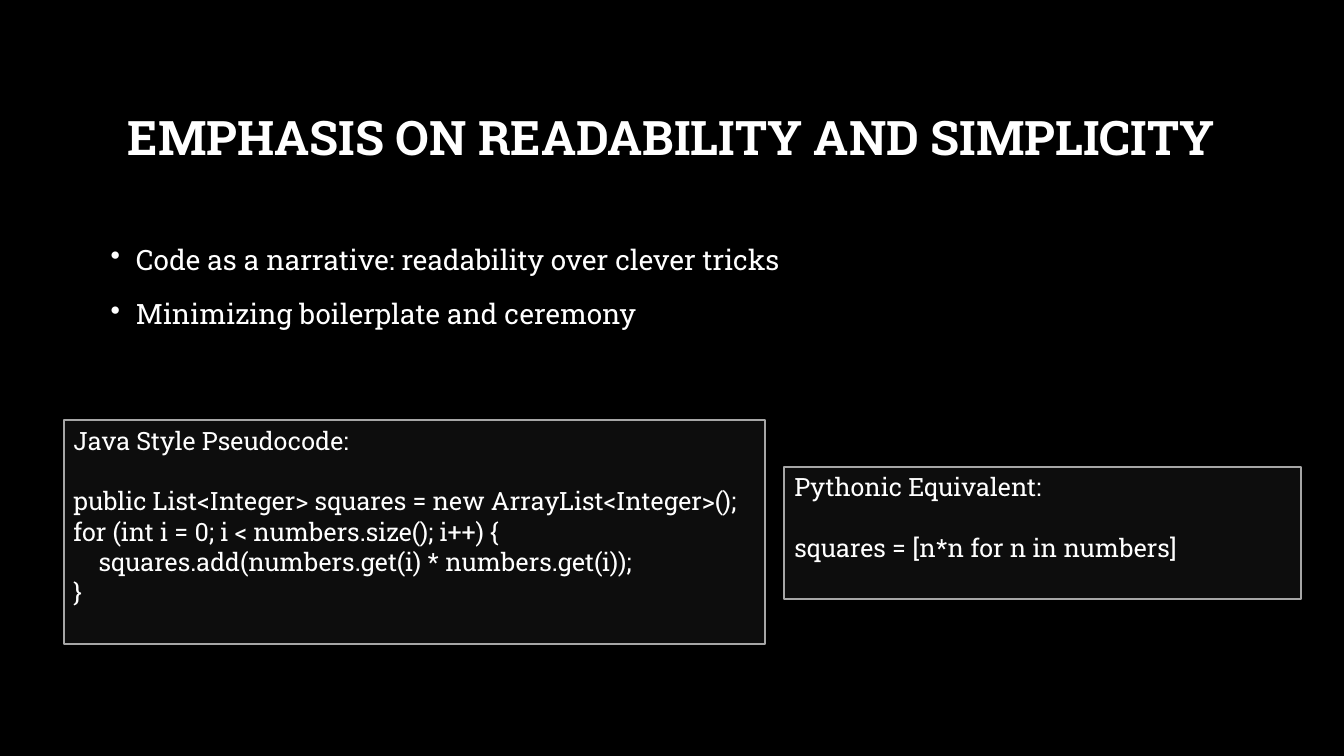
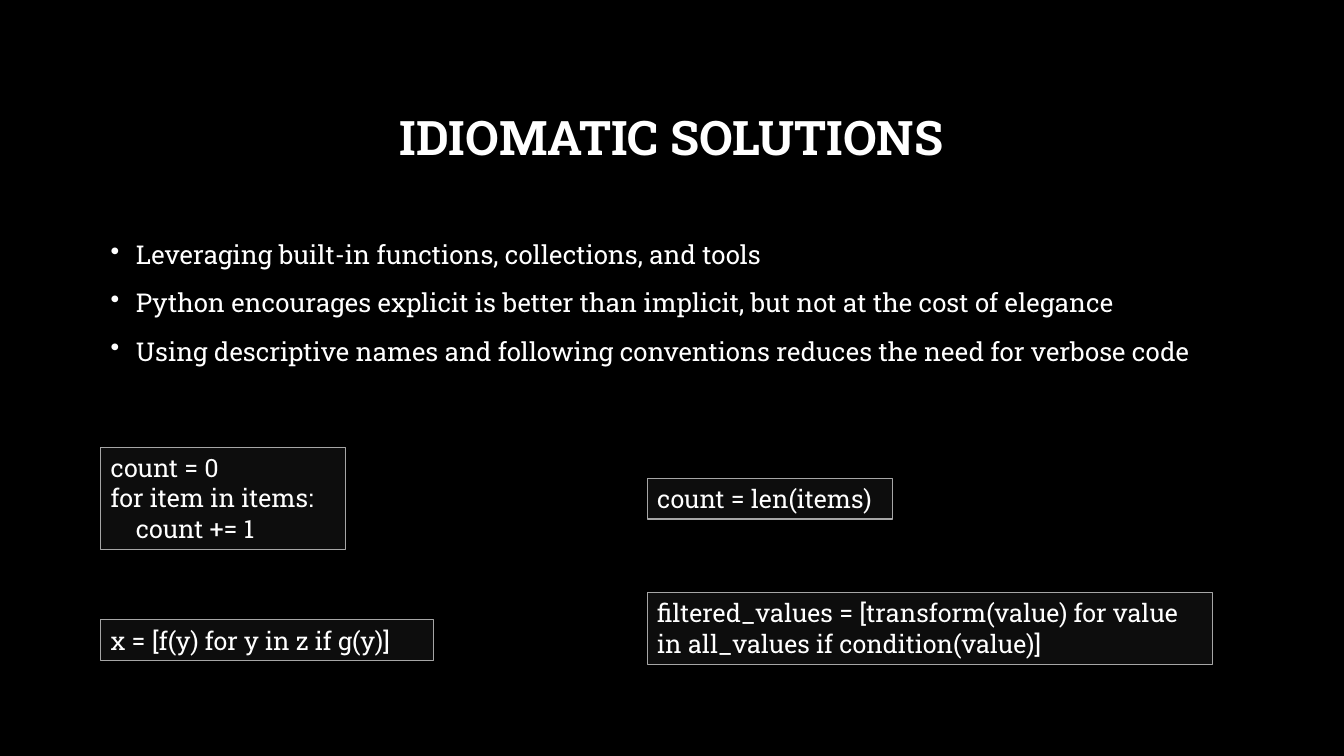
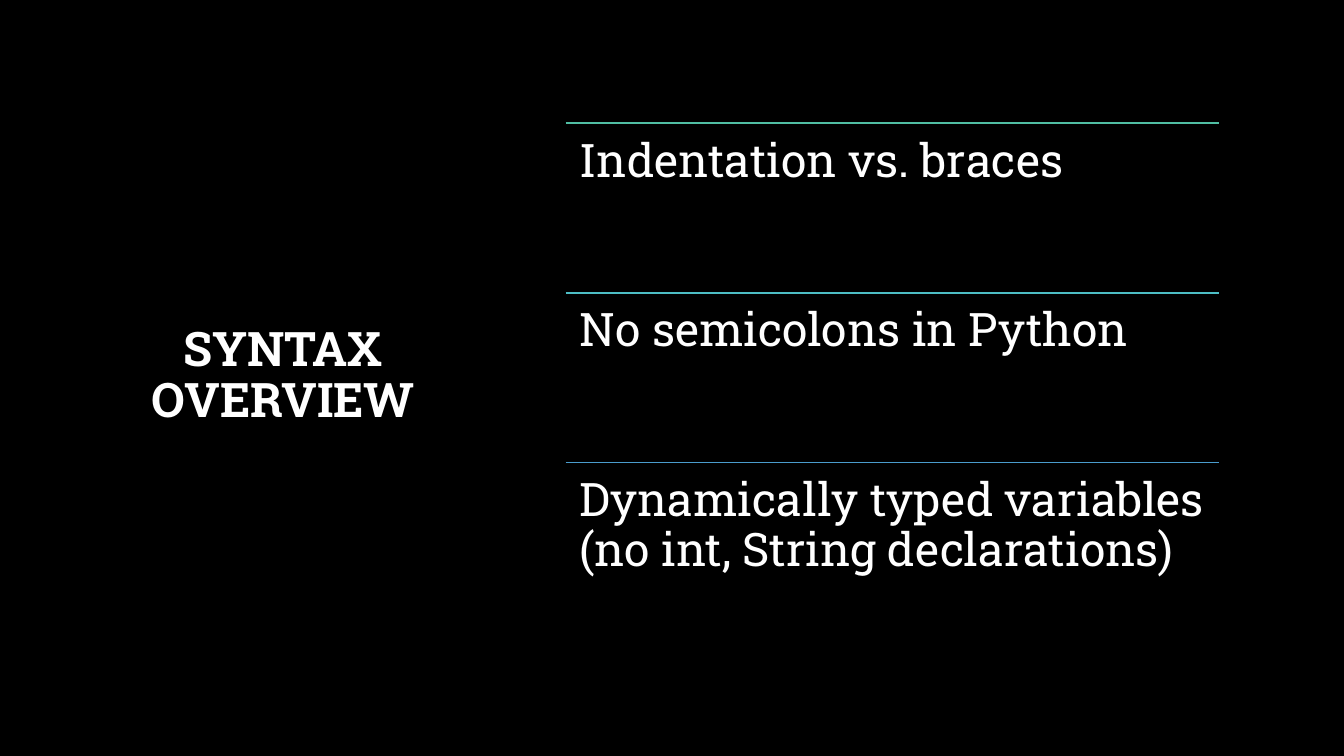
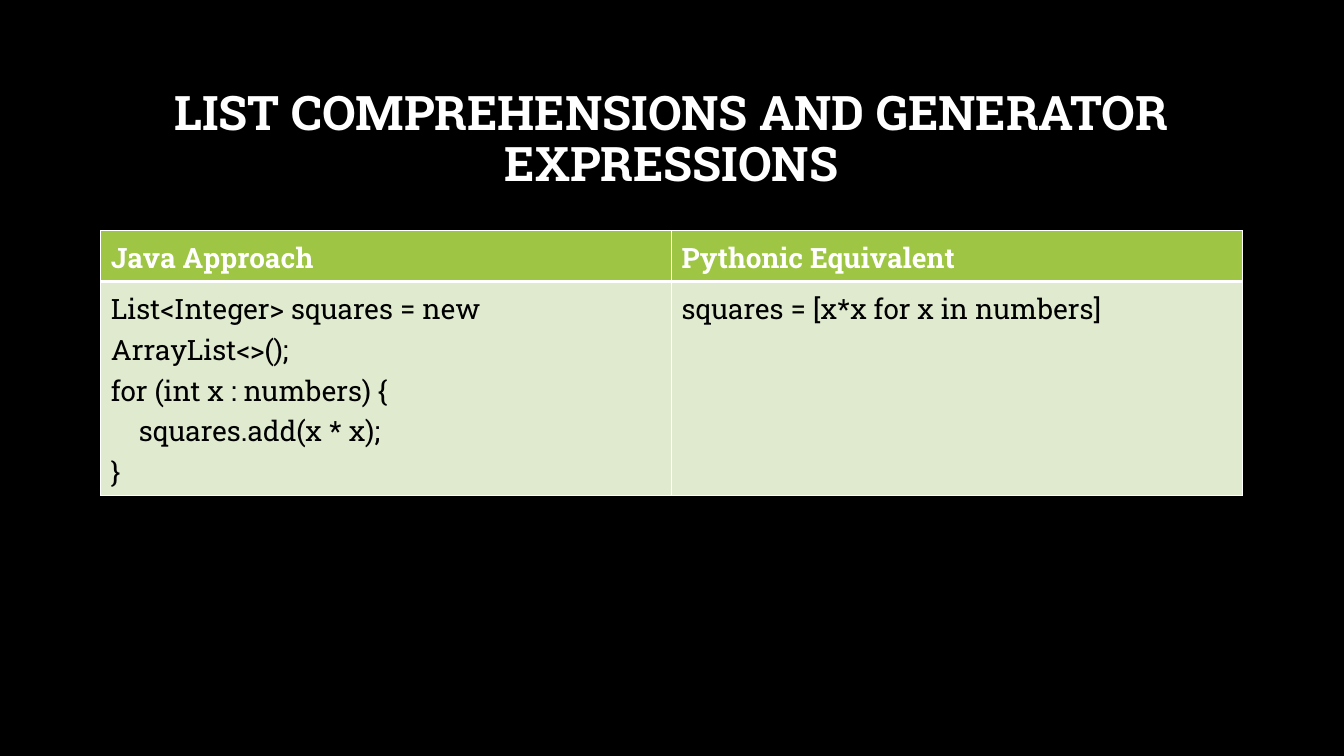
from lxml import etree
from pptx import Presentation
from pptx.dml.color import RGBColor
from pptx.enum.shapes import MSO_CONNECTOR as CONNECTOR, MSO_SHAPE as SHAPE
from pptx.enum.text import MSO_ANCHOR as ANCHOR, MSO_AUTO_SIZE as AUTO_SIZE, PP_ALIGN as ALIGN
from pptx.oxml.ns import qn
from pptx.util import Inches, Pt

BLACK = RGBColor(0x00, 0x00, 0x00)
WHITE = RGBColor(0xFF, 0xFF, 0xFF)
PANEL = RGBColor(0x0D, 0x0D, 0x0D)
PANEL_EDGE = RGBColor(0xA6, 0xA6, 0xA6)
HEADER_GREEN = RGBColor(0x9E, 0xC5, 0x44)
BODY_GREEN = RGBColor(0xDF, 0xEA, 0xCF)
RULE_COLORS = [
    RGBColor(0x50, 0xBE, 0xA3),
    RGBColor(0x4D, 0xBE, 0xC5),
    RGBColor(0x4A, 0x9C, 0xCC),
]

SLIDE_W, SLIDE_H = Inches(13.33), Inches(7.5)
LEFT, SECOND_LEFT, CONTENT_W = 7.5, 48.16, 84.92
CONTENT_TOP = 30.53
TITLE_BAND = (LEFT, 8.93, CONTENT_W, 19.33)
TITLE_SIDE = (6.15, 8.93, 29.86, 81.73)

FONT = {"name": "Roboto Slab", "bold": False}
TITLE_FONT = {**FONT, "size": Pt(34), "bold": True}
CODE_FONT = {**FONT, "size": Pt(18)}
TABLE_FONT = {**FONT, "size": Pt(20)}
POINT_FONT = {**FONT, "size": Pt(33)}
TITLE_PARAGRAPH = {"alignment": ALIGN.CENTER, "line_spacing": 0.9}
CODE_PARAGRAPH = {"alignment": ALIGN.LEFT}
CAPTION_GAP = Pt(21.5)


def place(left, top, width, height):
    return [
        int(share * side / 100)
        for share, side in zip((left, top, width, height), (SLIDE_W, SLIDE_H) * 2)
    ]


def apply(target, values):
    for key, value in values.items():
        setattr(target, key, value)


def write(frame, lines, font, paragraph_format, color=WHITE):
    apply(frame, {"word_wrap": True, "auto_size": AUTO_SIZE.NONE})
    for number, line in enumerate(lines):
        paragraph = frame.add_paragraph() if number else frame.paragraphs[0]
        text = line.lstrip()
        run = paragraph.add_run()
        run.text = text
        apply(paragraph, paragraph_format)
        apply(run.font, font)
        run.font.color.rgb = color
        indent = (len(line) - len(text)) * font["size"] // 4
        if indent:
            paragraph._p.get_or_add_pPr().set("marL", str(indent))


def add_titled_slide(prs, title, area=TITLE_BAND):
    slide = prs.slides.add_slide(prs.slide_layouts[5])
    heading = slide.shapes.title
    apply(heading, dict(zip(("left", "top", "width", "height"), place(*area))))
    heading.text_frame.vertical_anchor = ANCHOR.MIDDLE
    write(heading.text_frame, [title], TITLE_FONT, TITLE_PARAGRAPH)
    return slide


def add_bullets(slide, lines, area, size, spacing):
    frame = slide.shapes.add_textbox(*place(*area)).text_frame
    write(frame, lines, {**FONT, "size": Pt(size)},
          {"line_spacing": spacing, "space_before": Pt(10)})
    for paragraph in frame.paragraphs:
        properties = paragraph._p.get_or_add_pPr()
        properties.set("marL", str(Inches(0.25)))
        properties.set("indent", str(-Inches(0.25)))
        etree.SubElement(properties, qn("a:buChar")).set("char", "•")


def add_code_panel(slide, lines, area, edge=0.75, caption=None):
    panel = slide.shapes.add_shape(SHAPE.RECTANGLE, *place(*area))
    panel.shadow.inherit = False
    panel.fill.solid()
    panel.fill.fore_color.rgb = PANEL
    panel.line.color.rgb = PANEL_EDGE
    panel.line.width = Pt(edge)
    frame = panel.text_frame
    frame.vertical_anchor = ANCHOR.TOP
    write(frame, ([caption] if caption else []) + lines, CODE_FONT, CODE_PARAGRAPH)
    if caption:
        frame.paragraphs[0].space_after = CAPTION_GAP


def add_ruled_point(slide, text, color, area):
    left, top, width, height = place(*area)
    rule = slide.shapes.add_connector(CONNECTOR.STRAIGHT, left, top, left + width, top)
    rule.line.color.rgb = color
    rule.line.width = Pt(1)
    etree.SubElement(rule._element.spPr, qn("a:effectLst"))
    frame = slide.shapes.add_textbox(left, top, width, height).text_frame
    apply(frame, {f"margin_{side}": Inches(0.14) for side in ("left", "top", "right", "bottom")})
    write(frame, [text], POINT_FONT, {"line_spacing": 0.9})


def set_borders(cell, widths):
    properties = cell._tc.get_or_add_tcPr()
    for position, (side, width) in enumerate(widths.items()):
        border = etree.Element(qn(f"a:ln{side}"), w=str(Pt(width)))
        fill = etree.SubElement(border, qn("a:solidFill"))
        etree.SubElement(fill, qn("a:srgbClr")).set("val", str(WHITE))
        properties.insert(position, border)


def add_comparison_table(slide, columns, area, row_heights):
    table = slide.shapes.add_table(2, len(columns), *place(*area)).table
    for row, height in zip(table.rows, row_heights):
        row.height = int(SLIDE_H * height / 100)
    row_styles = [
        (HEADER_GREEN, WHITE, {**TABLE_FONT, "bold": True}, {"L": 1, "R": 1, "T": 1, "B": 3}),
        (BODY_GREEN, BLACK, TABLE_FONT, {"L": 1, "R": 1, "T": 3, "B": 1}),
    ]
    for column, (heading, code) in enumerate(columns):
        for row, lines in enumerate(([heading], code)):
            background, color, font, borders = row_styles[row]
            cell = table.cell(row, column)
            cell.fill.solid()
            cell.fill.fore_color.rgb = background
            write(cell.text_frame, lines, font, {"line_spacing": 1.1}, color)
            set_borders(cell, borders)


def build_readability(prs):
    slide = add_titled_slide(prs, "EMPHASIS ON READABILITY AND SIMPLICITY")
    add_bullets(slide, [
        "Code as a narrative: readability over clever tricks",
        "Minimizing boilerplate and ceremony",
    ], (LEFT, CONTENT_TOP, CONTENT_W, 14.27), 20, 1.2)
    add_code_panel(slide, [
        "public List<Integer> squares = new ArrayList<Integer>();",
        "for (int i = 0; i < numbers.size(); i++) {",
        "    squares.add(numbers.get(i) * numbers.get(i));",
        "}",
    ], (4.73, 55.6, 52.21, 29.6), 1.5, "Java Style Pseudocode:")
    add_code_panel(slide, ["squares = [n*n for n in numbers]"],
                   (58.36, 61.73, 38.41, 17.47), 1.5, "Pythonic Equivalent:")


def build_idioms(prs):
    slide = add_titled_slide(prs, "IDIOMATIC SOLUTIONS")
    add_bullets(slide, [
        "Leveraging built-in functions, collections, and tools",
        "Python encourages explicit is better than implicit, but not at the cost of elegance",
        "Using descriptive names and following conventions reduces the need for verbose code",
    ], (LEFT, CONTENT_TOP, 88.6, 19.33), 18.5, 1.1)
    snippets = [
        (["count = 0", "for item in items:", "    count += 1"], (LEFT, 59.2, 18.23, 13.47)),
        (["x = [f(y) for y in z if g(y)]"], (LEFT, 82, 24.76, 5.33)),
        (["count = len(items)"], (SECOND_LEFT, 63.33, 18.23, 5.33)),
        (["filtered_values = [transform(value) for value in all_values if condition(value)]"],
         (SECOND_LEFT, 78.4, 42.09, 9.47)),
    ]
    for code, area in snippets:
        add_code_panel(slide, code, area)


def build_syntax(prs):
    slide = add_titled_slide(prs, "SYNTAX OVERVIEW", TITLE_SIDE)
    points = [
        "Indentation vs. braces",
        "No semicolons in Python",
        "Dynamically typed variables (no int, String declarations)",
    ]
    first_top, row_height = 16.27, 22.47
    for row, (point, color) in enumerate(zip(points, RULE_COLORS)):
        add_ruled_point(slide, point, color,
                        (42.09, first_top + row * row_height, 48.61, row_height))


def build_comprehensions(prs):
    slide = add_titled_slide(prs, "LIST COMPREHENSIONS AND GENERATOR EXPRESSIONS")
    add_comparison_table(slide, [
        ("Java Approach", [
            "List<Integer> squares = new ArrayList<>();",
            "for (int x : numbers) {",
            "    squares.add(x * x);",
            "}",
        ]),
        ("Pythonic Equivalent", ["squares = [x*x for x in numbers]"]),
    ], (LEFT, CONTENT_TOP, CONTENT_W, 32.1), (6.2, 25.9))


def main():
    prs = Presentation()
    apply(prs, {"slide_width": SLIDE_W, "slide_height": SLIDE_H})
    backdrop = prs.slide_master.background.fill
    backdrop.solid()
    backdrop.fore_color.rgb = BLACK
    for build in (build_readability, build_idioms, build_syntax, build_comprehensions):
        build(prs)
    prs.save("out.pptx")


if __name__ == "__main__":
    main()
